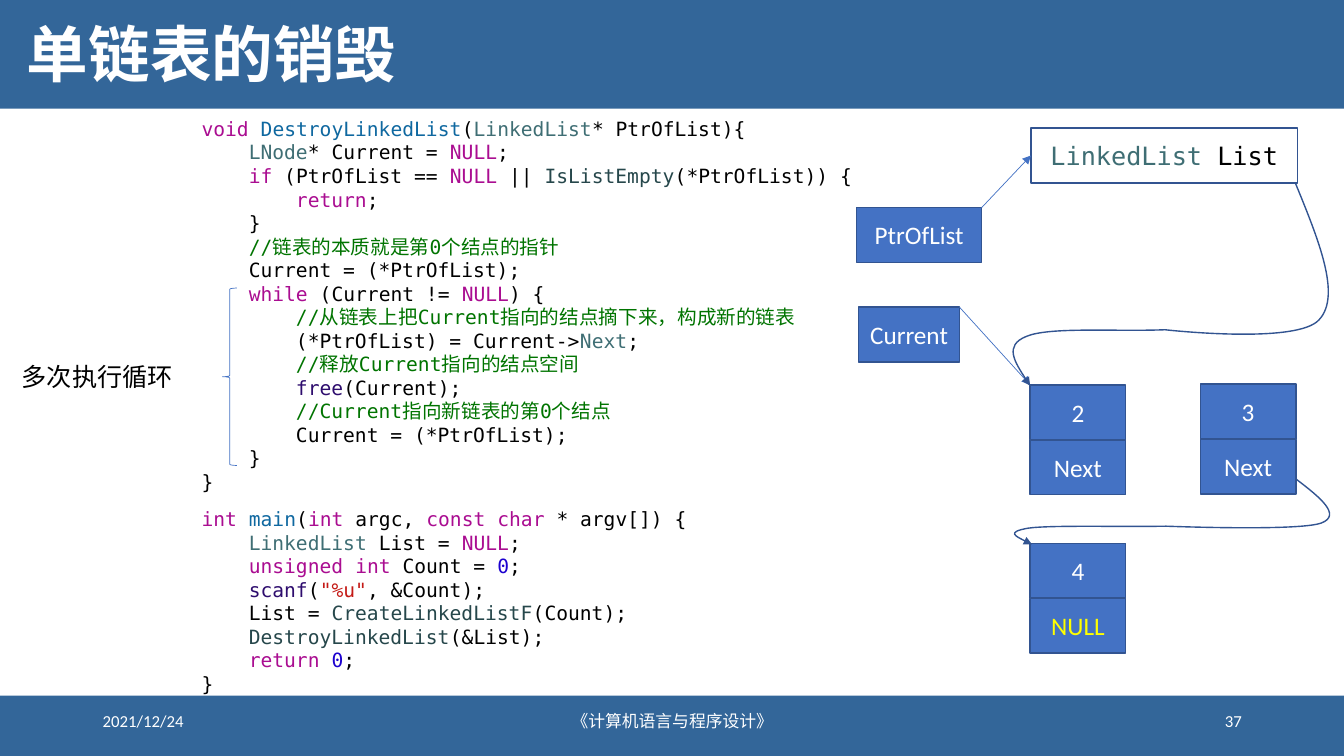
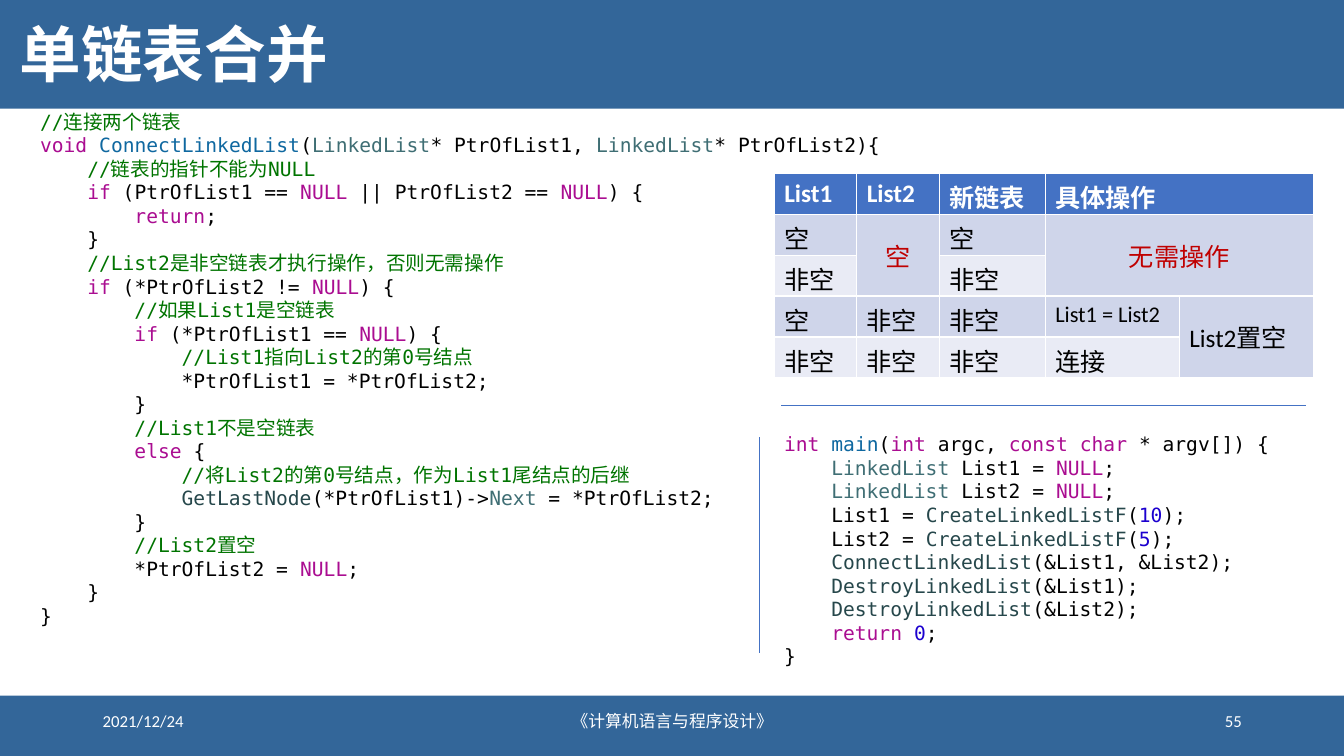
"""Build two lecture slides on destroying and merging singly linked lists."""
import itertools

import pptx
import pptx.dml.color
import pptx.enum.shapes
import pptx.enum.text
import pptx.oxml
import pptx.oxml.ns
import pptx.util

Cm = pptx.util.Cm
Pt = pptx.util.Pt
SHAPE = pptx.enum.shapes.MSO_SHAPE
ALIGN = pptx.enum.text.PP_ALIGN
ANCHOR = pptx.enum.text.MSO_ANCHOR
qn = pptx.oxml.ns.qn

BAND, BLUE, EDGE = "336699", "4472C4", "325491"
WHITE, BLACK, RED, YELLOW = "FFFFFF", "000000", "C00000", "FFFF00"
DARK, LIGHT = "CFD5EA", "E9EBF5"
SANS, MONO, HAN = "Calibri", "DejaVu Sans Mono", "Noto Sans CJK SC"
WIDTH, HEIGHT = 33.87, 19.05
CELL_W, CELL_H = 2.41, 1.38
INDENT = 1.19

NOTE, NAME, DIGIT, QUOTE = "007400", "0F68A0", "1C00CF", "C41A16"
GROUPS = {
    "AA0D91": "void int const char unsigned return if while else NULL",
    "3F6E74": "LinkedList LNode Next",
    "2E0D6E": "free scanf",
    "26474B": "IsListEmpty CreateLinkedListF DestroyLinkedList "
              "ConnectLinkedList GetLastNode",
    NAME: "main",
}
WORDS = {word: hue for hue, words in GROUPS.items() for word in words.split()}

DESTROY = """
void DestroyLinkedList(LinkedList* PtrOfList){
    LNode* Current = NULL;
    if (PtrOfList == NULL || IsListEmpty(*PtrOfList)) {
        return;
    }
    //链表的本质就是第0个结点的指针
    Current = (*PtrOfList);
    while (Current != NULL) {
        //从链表上把Current指向的结点摘下来，构成新的链表
        (*PtrOfList) = Current->Next;
        //释放Current指向的结点空间
        free(Current);
        //Current指向新链表的第0个结点
        Current = (*PtrOfList);
    }
}
"""

DESTROY_MAIN = """
int main(int argc, const char * argv[]) {
    LinkedList List = NULL;
    unsigned int Count = 0;
    scanf("%u", &Count);
    List = CreateLinkedListF(Count);
    DestroyLinkedList(&List);
    return 0;
}
"""

MERGE = """
//连接两个链表
void ConnectLinkedList(LinkedList* PtrOfList1, LinkedList* PtrOfList2){
    //链表的指针不能为NULL
    if (PtrOfList1 == NULL || PtrOfList2 == NULL) {
        return;
    }
    //List2是非空链表才执行操作，否则无需操作
    if (*PtrOfList2 != NULL) {
        //如果List1是空链表
        if (*PtrOfList1 == NULL) {
            //List1指向List2的第0号结点
            *PtrOfList1 = *PtrOfList2;
        }
        //List1不是空链表
        else {
            //将List2的第0号结点，作为List1尾结点的后继
            GetLastNode(*PtrOfList1)->Next = *PtrOfList2;
        }
        //List2置空
        *PtrOfList2 = NULL;
    }
}
"""

MERGE_MAIN = """
int main(int argc, const char * argv[]) {
    LinkedList List1 = NULL;
    LinkedList List2 = NULL;
    List1 = CreateLinkedListF(10);
    List2 = CreateLinkedListF(5);
    ConnectLinkedList(&List1, &List2);
    DestroyLinkedList(&List1);
    DestroyLinkedList(&List2);
    return 0;
}
"""

CASES = [
    ["List1", "List2", "新链表", "具体操作", ""],
    ["空", "空", "空", "无需操作", ""],
    ["非空", "", "非空", "", ""],
    ["空", "非空", "非空", "List1 = List2", "List2置空"],
    ["非空", "非空", "非空", "连接", ""],
]
MERGED = [(0, 3, 0, 4), (1, 1, 2, 1), (1, 3, 2, 4), (3, 4, 4, 4)]


def rgb(hue):
    return pptx.dml.color.RGBColor.from_string(hue)


def write(para, text, size=18, hue=BLACK, font=SANS, bold=False, align=None):
    run = para.add_run()
    run.text = text
    run.font.size = Pt(size)
    run.font.name = font
    run.font.bold = bold
    run.font.color.rgb = rgb(hue)
    east = pptx.oxml.parse_xml(
        f'<a:ea {pptx.oxml.ns.nsdecls("a")} typeface="{HAN}"/>')
    run.font._element.find(qn("a:latin")).addnext(east)
    if align is not None:
        para.alignment = align


def paint(para, line, size=14):
    """Write one line of code, each token in its own colour."""
    if line.startswith("//"):
        write(para, line, size, NOTE, MONO)
        return
    for odd, part in enumerate(line.split('"')):
        if odd % 2:
            write(para, f'"{part}"', size, QUOTE, MONO)
            continue
        for _, chars in itertools.groupby(part, str.isalnum):
            token = "".join(chars)
            hue = DIGIT if token.isdigit() else WORDS.get(token, BLACK)
            if line.startswith("void " + token + "("):
                hue = NAME
            write(para, token, size, hue, MONO)


def box(slide, x, y, w, h, anchor=ANCHOR.TOP):
    frame = slide.shapes.add_textbox(Cm(x), Cm(y), Cm(w), Cm(h)).text_frame
    frame.word_wrap = True
    frame.vertical_anchor = anchor
    return frame


def code(slide, x, y, w, h, source):
    """Place a listing, turning leading spaces into paragraph indents."""
    frame = box(slide, x, y, w, h)
    for i, line in enumerate(source.strip().splitlines()):
        para = frame.add_paragraph() if i else frame.paragraphs[0]
        bare = line.lstrip()
        level = (len(line) - len(bare)) // 4
        para._p.get_or_add_pPr().set("marL", str(Cm(INDENT * level)))
        paint(para, bare)


def rect(slide, x, y, w, h, fill=BLUE, edge=EDGE):
    shape = slide.shapes.add_shape(SHAPE.RECTANGLE, Cm(x), Cm(y), Cm(w), Cm(h))
    shape.shadow.inherit = False
    if fill:
        shape.fill.solid()
        shape.fill.fore_color.rgb = rgb(fill)
    else:
        shape.fill.background()
    if edge:
        ink(shape, edge, 1)
    else:
        shape.line.fill.background()
    shape.text_frame.vertical_anchor = ANCHOR.MIDDLE
    shape.text_frame.paragraphs[0].alignment = ALIGN.CENTER
    return shape


def ink(shape, hue, width, arrow=False):
    shape.line.color.rgb = rgb(hue)
    shape.line.width = Pt(width)
    if arrow:
        shape.line._get_or_add_ln().append(pptx.oxml.parse_xml(
            f'<a:tailEnd {pptx.oxml.ns.nsdecls("a")} type="triangle"/>'))


def label(slide, x, y, w, text, hue=WHITE):
    shape = rect(slide, x, y, w, CELL_H)
    write(shape.text_frame.paragraphs[0], text, hue=hue)


def node(slide, x, y, value, link="Next", hue=WHITE):
    label(slide, x, y, CELL_W, value)
    label(slide, x, y + CELL_H + 0.01, CELL_W, link, hue)


def line(slide, x1, y1, x2, y2, arrow=False):
    link = slide.shapes.add_connector(
        pptx.enum.shapes.MSO_CONNECTOR.STRAIGHT, Cm(x1), Cm(y1), Cm(x2), Cm(y2))
    ink(link, BLUE, 0.5, arrow)
    link._element.spPr.append(pptx.oxml.parse_xml(
        f'<a:effectLst {pptx.oxml.ns.nsdecls("a")}/>'))
    return link


def curve(slide, *points):
    """Draw an arrow through a start point and triples of Bezier points."""
    start, *rest = [(Cm(x), Cm(y)) for x, y in points]
    pen = slide.shapes.build_freeform(*start)
    pen.add_line_segments(rest, close=False)
    shape = pen.convert_to_shape()
    steps = list(shape._element.iter(qn("a:lnTo")))
    for first, *others in zip(steps[::3], steps[1::3], steps[2::3]):
        first.tag = qn("a:cubicBezTo")
        for step in others:
            first.append(step[0])
            step.getparent().remove(step)
    shape.shadow.inherit = False
    shape.fill.background()
    ink(shape, EDGE, 1, arrow=True)


def brace(slide, x, y, w, h):
    shape = slide.shapes.add_shape(SHAPE.LEFT_BRACE, Cm(x), Cm(y), Cm(w), Cm(h))
    shape.shadow.inherit = False
    shape.fill.background()
    ink(shape, BLUE, 0.5)


def grid(slide, x, y, widths, height):
    """Add the table of cases with its merged cells."""
    rows, cols = len(CASES), len(widths)
    table = slide.shapes.add_table(
        rows, cols, Cm(x), Cm(y), Cm(sum(widths)), Cm(height * rows)).table
    for col, width in zip(table.columns, widths):
        col.width = Cm(width)
    for r, texts in enumerate(CASES):
        table.rows[r].height = Cm(height)
        for c, text in enumerate(texts):
            cell = table.cell(r, c)
            cell.fill.solid()
            cell.fill.fore_color.rgb = rgb((DARK if r % 2 else LIGHT) if r else BLUE)
            para = cell.text_frame.paragraphs[0]
            if r == 1 and c in (1, 3):
                write(para, text, hue=RED, align=ALIGN.CENTER)
            elif text:
                write(para, text, size=16 if "=" in text else 18,
                      hue=BLACK if r else WHITE, bold=r == 0)
    for top, left, bottom, right in MERGED:
        cell = table.cell(top, left)
        cell.merge(table.cell(bottom, right))
        if top:
            cell.vertical_anchor = ANCHOR.MIDDLE


def page(deck, title, x, number):
    """Add a slide with the bands, title and footer that all slides share."""
    slide = deck.slides.add_slide(deck.slide_layouts[6])
    rect(slide, 0, 0, WIDTH, 2.74, BAND, None)
    rect(slide, 0, 17.53, WIDTH, 1.52, BAND, None)
    para = box(slide, x, 0.3, 31.29, 2.31, ANCHOR.MIDDLE).paragraphs[0]
    para.line_spacing = 0.9
    write(para, title, 44, WHITE, HAN, bold=True)
    for left, width, text, align in [
            (2.34, 7.62, "2021/12/24", ALIGN.LEFT),
            (11.23, 11.43, "《计算机语言与程序设计》", ALIGN.CENTER),
            (23.93, 7.62, number, ALIGN.RIGHT)]:
        foot = box(slide, left, 17.65, width, 1.02, ANCHOR.MIDDLE)
        write(foot.paragraphs[0], text, 12, WHITE, align=align)
    return slide


def destroy(deck):
    slide = page(deck, "单链表的销毁", 0.43, "37")
    write(box(slide, 0.3, 8.99, 5.38, 1.02).paragraphs[0], "多次执行循环")
    code(slide, 4.83, 2.82, 17.09, 9.83, DESTROY)
    code(slide, 4.83, 12.65, 13.39, 5.05, DESTROY_MAIN)
    brace(slide, 5.61, 7.26, 0.36, 4.47)
    node(slide, 25.96, 9.7, "2")
    node(slide, 30.25, 9.68, "3")
    node(slide, 25.96, 13.69, "4", "NULL", YELLOW)
    head = rect(slide, 25.98, 3.23, 6.72, CELL_H, None)
    paint(head.text_frame.paragraphs[0], "LinkedList List", 18)
    label(slide, 21.59, 5.23, 3.15, "PtrOfList")
    label(slide, 21.64, 7.74, 2.54, "Current")
    line(slide, 24.74, 5.23, 25.98, 3.92, True).end_connect(head, 1)
    line(slide, 24.18, 7.74, 25.96, 9.7, True)
    curve(slide, (32.64, 4.6), (33.22, 6.02), (33.81, 7.44), (33.25, 8.05),
          (32.72, 8.69), (29.36, 8.31), (29.36, 8.31), (28.12, 8.36),
          (26.44, 8.23), (25.86, 8.48), (25.3, 8.71), (25.63, 9.22), (25.96, 9.72))
    curve(slide, (32.66, 12.07), (33.25, 12.52), (33.83, 12.98), (33.3, 13.18),
          (32.74, 13.39), (29.39, 13.26), (29.39, 13.26), (28.17, 13.28),
          (26.47, 13.23), (25.91, 13.31), (25.35, 13.41), (25.68, 13.56), (26.01, 13.72))


def merge(deck):
    slide = page(deck, "单链表合并", 0.25, "55")
    grid(slide, 19.51, 4.37, [2.08, 2.08, 2.67, 3.38, 3.38], 1.03)
    code(slide, 0.76, 2.64, 25.81, 13.41, MERGE)
    code(slide, 19.51, 10.77, 12.9, 6.25, MERGE_MAIN)
    line(slide, 19.69, 10.21, 32.92, 10.21)
    line(slide, 19.13, 11.02, 19.13, 16.46)


def main():
    deck = pptx.Presentation()
    deck.slide_width, deck.slide_height = Cm(WIDTH), Cm(HEIGHT)
    destroy(deck)
    merge(deck)
    deck.save("out.pptx")


if __name__ == "__main__":
    main()
